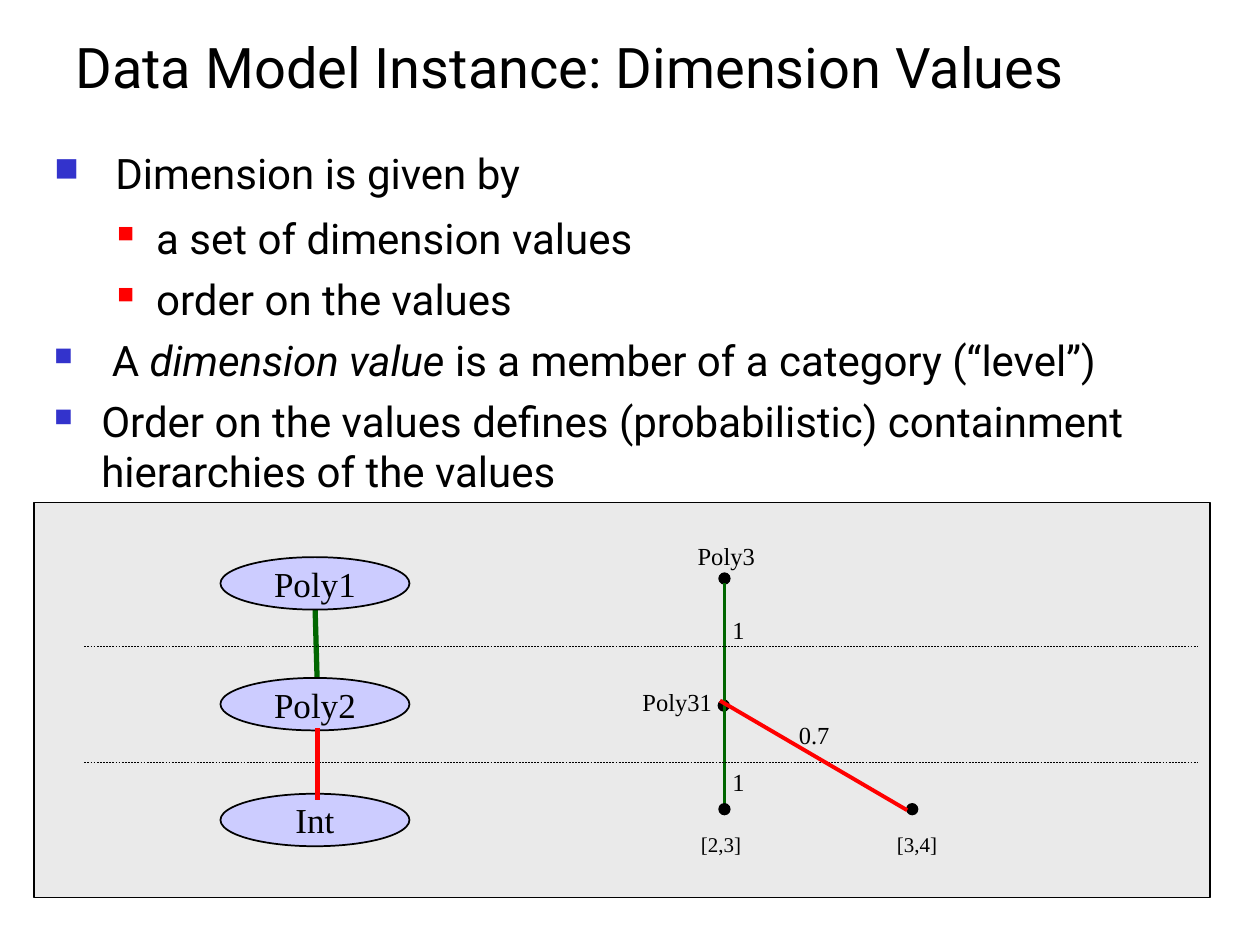
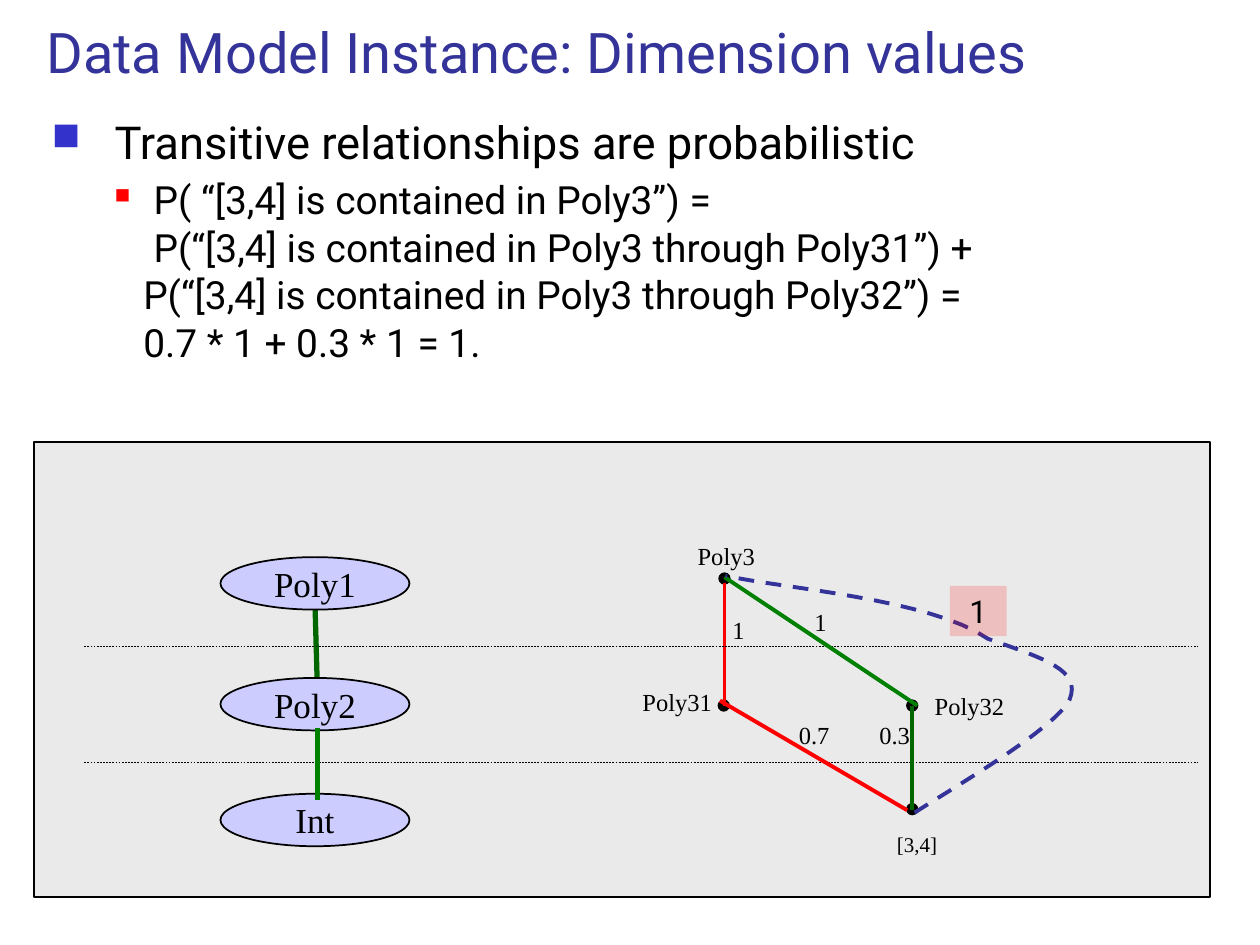
from lxml import etree
from pptx import Presentation
from pptx import util as u
from pptx.dml import color
from pptx.enum import dml, shapes, text
from pptx.oxml import ns

BLACK = color.RGBColor(0, 0, 0)
NAVY = color.RGBColor(0x33, 0x33, 0x99)
BLUE = color.RGBColor(0x33, 0x33, 0xCC)
LILAC = color.RGBColor(0xCC, 0xCC, 0xFF)
GREY = color.RGBColor(0xEA, 0xEA, 0xEA)
RED = color.RGBColor(0xFF, 0, 0)
PINE = color.RGBColor(0, 0x66, 0)
GREEN = color.RGBColor(0, 0x80, 0)
SANS = "Roboto"
SERIF = "Times New Roman"
KIND = shapes.MSO_SHAPE
MIDDLE = text.MSO_ANCHOR.MIDDLE
CENTER = text.PP_ALIGN.CENTER


def style(part, size, face=SANS, hue=BLACK):
    for run in part.runs:
        run.font.size = u.Pt(size)
        run.font.name = face
        run.font.color.rgb = hue


def add_box(slide, left, top, width, height):
    box = slide.shapes.add_textbox(u.Pt(left), u.Pt(top), u.Pt(width), u.Pt(height))
    box.text_frame.word_wrap = True
    return box.text_frame


def add_title(slide, words, left, top, width, height, hue):
    frame = add_box(slide, left, top, width, height)
    frame.vertical_anchor = text.MSO_ANCHOR.BOTTOM
    frame.text = words
    style(frame.paragraphs[0], 32, hue=hue)


def add_mark(part, hue, scale):
    props = part._p.get_or_add_pPr()
    tint = etree.SubElement(props, ns.qn("a:buClr"))
    etree.SubElement(tint, ns.qn("a:srgbClr"), val=str(hue))
    etree.SubElement(props, ns.qn("a:buSzPct"), val=str(scale * 1000))
    etree.SubElement(props, ns.qn("a:buChar"), char="■")


def add_list(frame, items, pitch=None):
    for index, (words, size, left, hang, mark, gap) in enumerate(items):
        part = frame.add_paragraph() if index else frame.paragraphs[0]
        props = part._p.get_or_add_pPr()
        props.set("marL", str(u.Pt(left)))
        props.set("indent", str(u.Pt(-hang)))
        if mark:
            add_mark(part, *mark)
        if index:
            part.space_before = u.Pt(gap)
        if pitch:
            part.line_spacing = pitch
        for place, chunk in enumerate(words.split("|")):
            run = part.add_run()
            run.text = chunk
            run.font.italic = place % 2 == 1
        style(part, size)


def add_shape(slide, kind, left, top, width, height, fill, edge=True):
    shape = slide.shapes.add_shape(
        kind, u.Pt(left), u.Pt(top), u.Pt(width), u.Pt(height))
    shape.shadow.inherit = False
    shape.fill.solid()
    shape.fill.fore_color.rgb = fill
    if edge:
        shape.line.color.rgb = BLACK
        shape.line.width = u.Pt(1)
    else:
        shape.line.fill.background()
    return shape


def set_text(frame, words, size, face=SERIF):
    frame.word_wrap = False
    frame.vertical_anchor = MIDDLE
    frame.text = words
    frame.paragraphs[0].alignment = CENTER
    style(frame.paragraphs[0], size, face)


def add_level(slide, words, top):
    oval = add_shape(slide, KIND.OVAL, 126, top, 108, 30, LILAC)
    set_text(oval.text_frame, words, 20)


def add_dot(slide, x, y):
    add_shape(slide, KIND.OVAL, x - 3, y - 3, 6, 6, BLACK)


def add_label(slide, words, x, y, size=14):
    set_text(add_box(slide, x - 27, y - 12, 54, 24), words, size)


def add_line(slide, start, end, hue, width, dash=False):
    line = slide.shapes.add_connector(
        shapes.MSO_CONNECTOR.STRAIGHT, *(u.Pt(v) for v in start + end))
    line.line.color.rgb = hue
    line.line.width = u.Pt(width)
    if dash:
        line.line.dash_style = dml.MSO_LINE.DASH
    etree.SubElement(line._element.spPr, ns.qn("a:effectLst"))


def bend(knots, steps=16):
    a, b, c, d = knots
    for step in range(1, steps + 1):
        t = step / steps
        s = 1 - t
        yield tuple(
            u.Pt(s**3 * p + 3 * s * s * t * q + 3 * s * t * t * r + t**3 * w)
            for p, q, r, w in zip(a, b, c, d))


def add_curve(slide, knots, hue):
    points = [p for i in range(0, len(knots) - 1, 3) for p in bend(knots[i:i + 4])]
    pen = slide.shapes.build_freeform(*(u.Pt(v) for v in knots[0]))
    pen.add_line_segments(points, close=False)
    curve = pen.convert_to_shape()
    curve.shadow.inherit = False
    curve.fill.background()
    curve.line.color.rgb = hue
    curve.line.width = u.Pt(2.25)
    curve.line.dash_style = dml.MSO_LINE.DASH


def add_board(slide, top, low, trunk, foot):
    add_shape(slide, KIND.RECTANGLE, 19.6, top, 671.8, 512.8 - top, GREY)
    add_level(slide, "Int", 453.6)
    add_line(slide, (181.4, 394.6), (180, 345.6), PINE, 3)
    add_level(slide, "Poly2", 387.4)
    add_level(slide, "Poly1", 318.4)
    for x, y in ((521.3, 462.4), (414, 330.6), (413.6, 403.2)):
        add_dot(slide, x, y)
    add_line(slide, (414, foot), (414, 333.4), trunk, 2.25)
    for y in (369.2, 435.4):
        add_line(slide, (48.2, y), (684, y), BLACK, 0.25, True)
    add_line(slide, (181.4, 416.2), (181.4, 457.2), low, 3)
    add_line(slide, (518.4, 463), (411.4, 400.4), RED, 2.25)
    add_label(slide, "[3,4]", 524, 482.4, 12)
    add_label(slide, "Poly3", 415, 317.6)
    add_label(slide, "Poly31", 387, 401)
    add_label(slide, "1", 422, 360)
    add_label(slide, "0.7", 465.2, 419.8)


def build_order(slide):
    add_title(slide, "Data Model Instance: Dimension Values", 36, 12.2, 648, 48.2, BLACK)
    main, sub = (BLUE, 60), (RED, 55)
    add_list(add_box(slide, 23.8, 81, 668.8, 210), [
        ("Dimension is given by", 24, 35, 35, (BLUE, 80), 0),
        ("a set of dimension values", 24, 58.4, 22.4, sub, 8),
        ("order on the values", 24, 58.4, 22.4, sub, 6),
        ("A |dimension value |is a member of a category (“level”)", 24, 33, 33, main, 6),
        ("Order on the values defines (probabilistic) containment "
         "hierarchies of the values", 24, 27, 27, main, 6)])
    add_board(slide, 287.2, RED, PINE, 465)
    add_dot(slide, 414, 462.4)
    add_label(slide, "[2,3]", 412, 482.4, 12)
    add_label(slide, "1", 422, 446.4)


def build_paths(slide):
    add_title(slide, "Data Model Instance: Dimension values", 19.4, 18, 613.4, 33.8, NAVY)
    add_board(slide, 252.8, GREEN, RED, 403.2)
    add_dot(slide, 521.3, 403.2)
    add_line(slide, (521.3, 463), (521.3, 403.2), PINE, 2.25)
    add_line(slide, (524.2, 403.2), (414, 329.8), GREEN, 2.25)
    add_label(slide, "Poly32", 554, 403.2)
    add_label(slide, "0.3", 511.2, 419.8)
    add_label(slide, "1", 468.8, 355)
    add_curve(slide, [
        (522.7, 464.4), (537.8, 454.3), (604.1, 416.2), (611.3, 399.6),
        (617.8, 383), (597.6, 376.6), (564.5, 365),
        (531.4, 342), (446.4, 336.2), (414.7, 329)], NAVY)
    total = add_shape(slide, KIND.RECTANGLE, 542.8, 334.8, 32.4, 28.8, RED, False)
    tint = total.fill._xPr.find(".//" + ns.qn("a:srgbClr"))
    etree.SubElement(tint, ns.qn("a:alpha"), val="18000")
    set_text(total.text_frame, "1", 18, SANS)
    add_list(add_box(slide, 22.4, 68, 668.8, 160), [
        ("Transitive relationships are probabilistic", 25.9, 36, 36, (BLUE, 86), 0),
        ("P( “[3,4] is contained in Poly3”) =", 22.2, 58.4, 22.4, (RED, 55), 9),
        ("P(“[3,4] is contained in Poly3 through Poly31”) +", 22.2, 58.4, 0, None, 6),
        ("P(“[3,4] is contained in Poly3 through Poly32”) =", 22.2, 52.4, 0, None, 6),
        ("0.7 * 1 + 0.3 * 1 = 1.", 22.2, 52.4, 0, None, 6)], 0.8)


def main():
    deck = Presentation()
    deck.slide_width, deck.slide_height = u.Pt(720), u.Pt(540)
    for build in (build_order, build_paths):
        build(deck.slides.add_slide(deck.slide_layouts[6]))
    deck.save("out.pptx")


if __name__ == "__main__":
    main()
